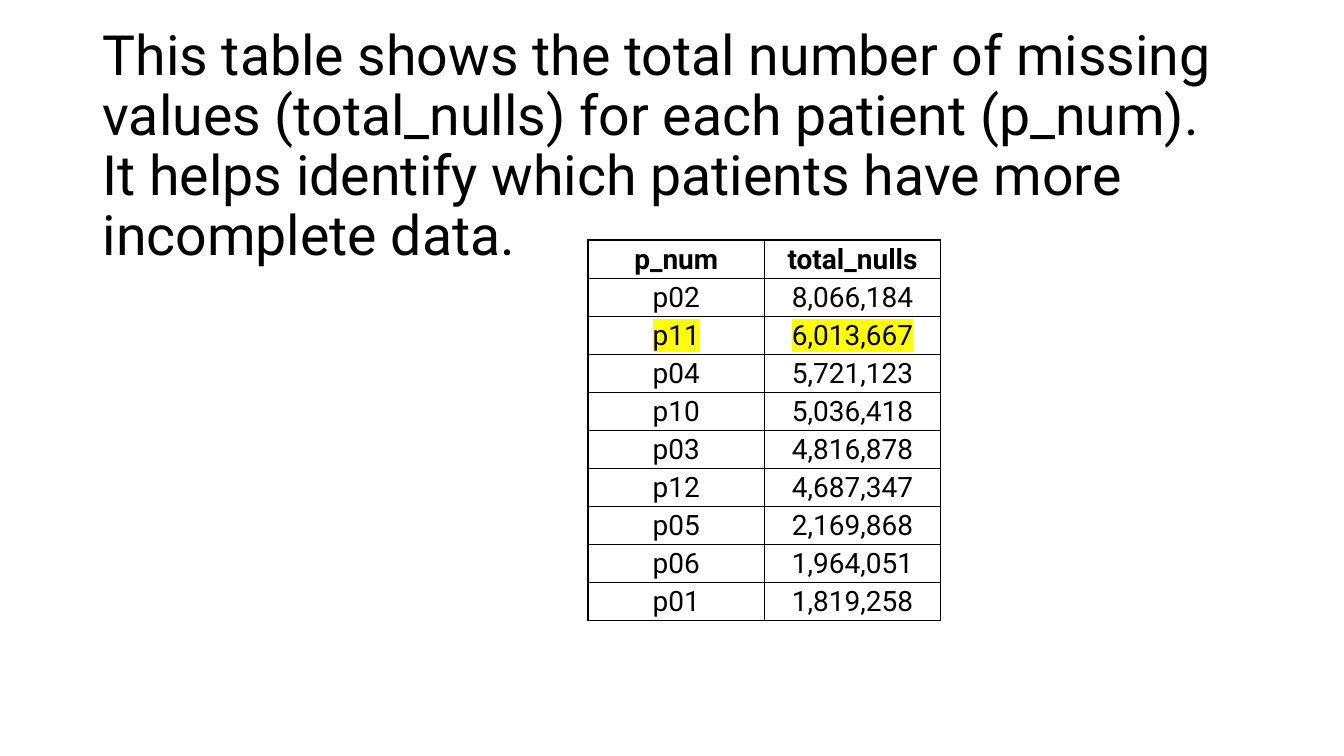
"""Build a slide that tabulates missing values per patient."""
from lxml import etree
from pptx import Presentation
from pptx import util as u
from pptx.dml.color import RGBColor
from pptx.enum import text
from pptx.oxml import ns

BLACK = RGBColor(0x00, 0x00, 0x00)
WHITE = RGBColor(0xFF, 0xFF, 0xFF)
YELLOW = RGBColor(0xFF, 0xFF, 0x00)

TITLE = (
    "This table shows the total number of missing values (total_nulls) "
    "for each patient (p_num). It helps identify which patients have more "
    "incomplete data."
)
HEADER = ("p_num", "total_nulls")
PATIENTS = [
    ("p02", "8,066,184"),
    ("p11", "6,013,667"),
    ("p04", "5,721,123"),
    ("p10", "5,036,418"),
    ("p03", "4,816,878"),
    ("p12", "4,687,347"),
    ("p05", "2,169,868"),
    ("p06", "1,964,051"),
    ("p01", "1,819,258"),
]
HIGHLIGHTED_PATIENT = "p11"


class SlideBuilder:
    def __init__(self, presentation, font_name="Roboto"):
        self.font_name = font_name
        self.slide = presentation.slides.add_slide(presentation.slide_layouts[5])
        background = self.slide.background.fill
        background.solid()
        background.fore_color.rgb = WHITE

    def format_text(self, paragraph, size, bold=False, highlight=None):
        for run in paragraph.runs:
            run.font.name = self.font_name
            run.font.size = u.Pt(size)
            run.font.bold = bold
            run.font.color.rgb = BLACK
            if highlight is not None:
                fill = run.font._element.find(ns.qn("a:solidFill"))
                marker = etree.Element(ns.qn("a:highlight"))
                etree.SubElement(marker, ns.qn("a:srgbClr"), val=str(highlight))
                fill.addnext(marker)

    def title(self, wording, left, top, width, height, size):
        shape = self.slide.shapes.title
        shape.left, shape.top = u.Cm(left), u.Cm(top)
        shape.width, shape.height = u.Cm(width), u.Cm(height)
        frame = shape.text_frame
        frame.text = wording
        frame.word_wrap = True
        frame.auto_size = text.MSO_AUTO_SIZE.NONE
        frame.vertical_anchor = text.MSO_ANCHOR.MIDDLE
        paragraph = frame.paragraphs[0]
        paragraph.alignment = text.PP_ALIGN.LEFT
        paragraph.line_spacing = 0.9
        self.format_text(paragraph, size)

    def borders(self, cell):
        properties = cell._tc.get_or_add_tcPr()
        for index, side in enumerate(("lnL", "lnR", "lnT", "lnB")):
            line = etree.Element(ns.qn(f"a:{side}"), w=str(u.Pt(1)))
            fill = etree.SubElement(line, ns.qn("a:solidFill"))
            etree.SubElement(fill, ns.qn("a:srgbClr"), val=str(BLACK))
            properties.insert(index, line)

    def cell(self, cell, wording, size, bold, highlight):
        cell.text = wording
        cell.vertical_anchor = text.MSO_ANCHOR.MIDDLE
        cell.margin_left = cell.margin_right = cell.margin_top = u.Cm(0.03)
        cell.margin_bottom = 0
        cell.fill.solid()
        cell.fill.fore_color.rgb = WHITE
        self.borders(cell)
        paragraph = cell.text_frame.paragraphs[0]
        paragraph.alignment = text.PP_ALIGN.CENTER
        self.format_text(paragraph, size, bold, highlight)

    def table(self, rows, left, top, width, height, size):
        table = self.slide.shapes.add_table(
            len(rows), len(rows[0]),
            u.Cm(left), u.Cm(top), u.Cm(width), u.Cm(height),
        ).table
        for row_index, row in enumerate(rows):
            highlight = YELLOW if row[0] == HIGHLIGHTED_PATIENT else None
            for column_index, wording in enumerate(row):
                self.cell(table.cell(row_index, column_index), wording, size,
                          row_index == 0, highlight)


def main():
    presentation = Presentation()
    presentation.slide_width = u.Cm(33.87)
    presentation.slide_height = u.Cm(19.05)
    builder = SlideBuilder(presentation)
    builder.title(TITLE, 2.33, 1.88, 29.21, 3.68, size=39.6)
    builder.table([HEADER, *PATIENTS], 14.82, 6.05, 8.89, 9.58, size=20)
    presentation.save("out.pptx")


if __name__ == "__main__":
    main()
